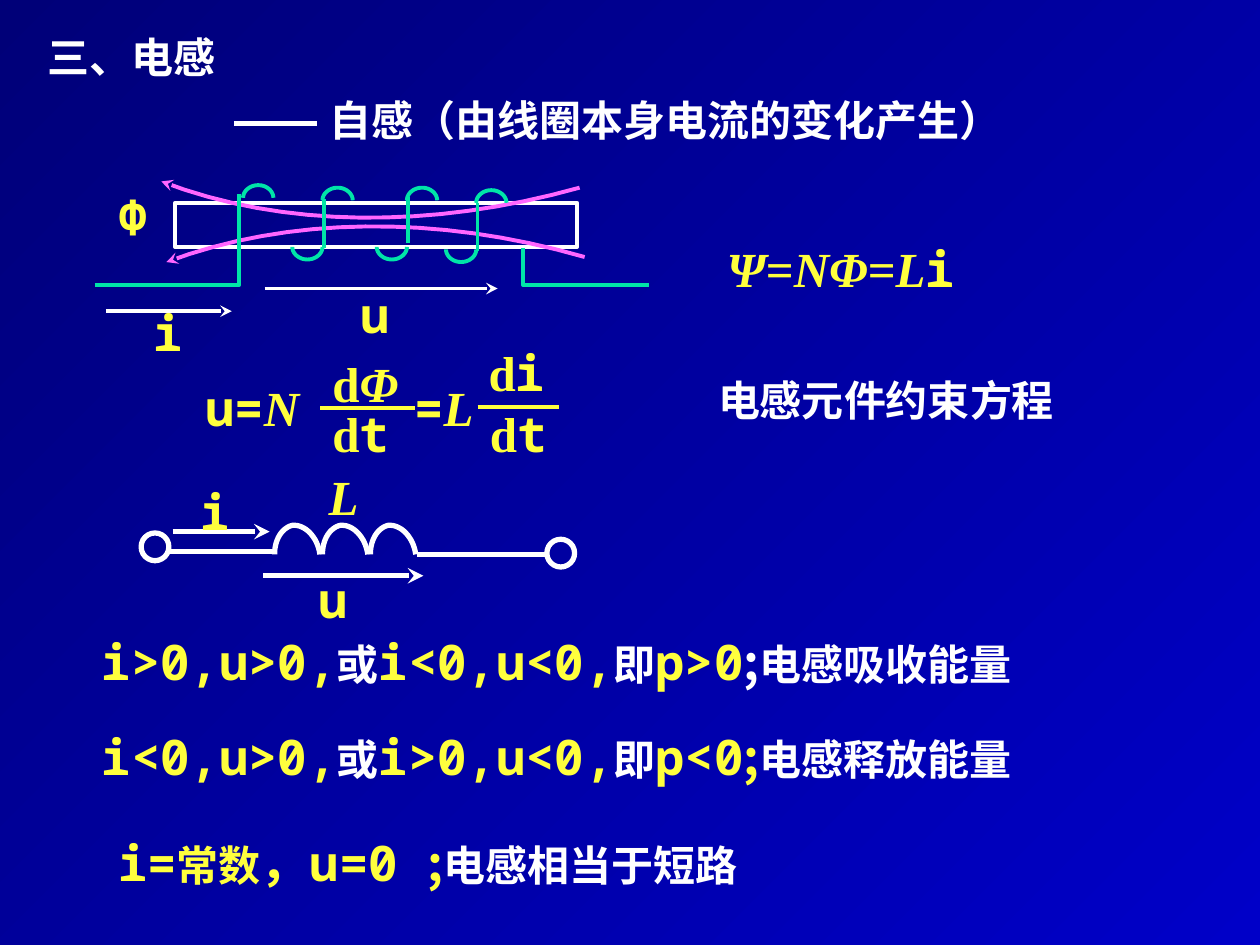
from lxml.etree import SubElement
from pptx import Presentation
from pptx.dml.color import RGBColor
from pptx.enum.shapes import MSO_CONNECTOR, MSO_SHAPE
from pptx.enum.text import MSO_ANCHOR, MSO_AUTO_SIZE, PP_ALIGN
from pptx.oxml.ns import qn
from pptx.util import Inches, Pt

COLORS = {"white": "FFFFFF", "yellow": "FFFF3D", "green": "00E4A8", "pink": "FF66FF",
          "navy": "000078", "blue": "0000C8"}
HEADING = {"font": "Noto Sans CJK SC", "size": 24, "color": "white"}
MONO = {"font": "Noto Sans Mono", "size": 28, "color": "yellow"}
SERIF = {"font": "Times New Roman", "size": 28, "color": "yellow"}
ITALIC = {**SERIF, "italic": True}
YELLOW_HEADING = {**HEADING, "color": "yellow"}
SEMICOLON = {**HEADING, "size": 28}
YELLOW_SEMICOLON = {**SEMICOLON, "color": "yellow"}


def add_run(paragraph, text, font, size, color, italic=False):
    run = paragraph.add_run()
    run.text = text
    run.font.name = font
    run.font.size = Pt(size)
    run.font.bold = True
    run.font.italic = italic
    run.font.color.rgb = RGBColor.from_string(COLORS[color])
    SubElement(run.font._element, qn("a:ea"), typeface=font)


def draw_line(container, points, color, width, arrow=False, curved=False):
    if curved:
        sampled = [points[0]]
        for first in range(0, len(points) - 1, 3):
            corners = points[first:first + 4]
            for step in range(1, 17):
                t = step / 16
                weights = ((1 - t) ** 3, 3 * t * (1 - t) ** 2, 3 * t ** 2 * (1 - t), t ** 3)
                sampled.append([sum(w * c[axis] for w, c in zip(weights, corners)) for axis in (0, 1)])
        points = sampled
    places = [(Inches(x), Inches(y)) for x, y in points]
    if len(places) == 2:
        shape = container.add_connector(MSO_CONNECTOR.STRAIGHT, *places[0], *places[1])
    else:
        builder = container.build_freeform(*places[0])
        builder.add_line_segments(places[1:], close=False)
        shape = builder.convert_to_shape()
        shape.fill.background()
    shape.line.color.rgb = RGBColor.from_string(COLORS[color])
    shape.line.width = Pt(width)
    properties = shape._element.spPr
    if arrow:
        SubElement(properties.find(qn("a:ln")), qn("a:tailEnd"), type="stealth")
    SubElement(properties, qn("a:effectLst"))


presentation = Presentation()
presentation.slide_width = Inches(10)
presentation.slide_height = Inches(7.5)
slide = presentation.slides.add_slide(presentation.slide_layouts[5])

background = slide.background.fill
background.gradient()
background.gradient_angle = 315
for stop, name in zip(background.gradient_stops, ("navy", "blue")):
    stop.color.rgb = RGBColor.from_string(COLORS[name])

title = slide.shapes.title
title.left, title.top, title.width, title.height = map(Inches, (0.28, 0.15, 1.89, 0.55))
title.text_frame.vertical_anchor = MSO_ANCHOR.BOTTOM
title.text_frame.auto_size = MSO_AUTO_SIZE.NONE
title.text_frame.paragraphs[0].alignment = PP_ALIGN.LEFT
add_run(title.text_frame.paragraphs[0], "三、电感", **HEADING)

page = slide.shapes
draw_line(page, [(1.86, 0.98), (2.52, 0.98)], "white", 3)
formula = page.add_group_shape().shapes
symbol = page.add_group_shape().shapes
coil = page.add_group_shape().shapes

for start, end in (((2.54, 3.24), (3.29, 3.24)), ((3.79, 3.23), (4.44, 3.23))):
    draw_line(formula, [start, end], "yellow", 2.25)

for index in range(3):
    x = 2.18 + 0.38 * index
    hump = [(x, 4.4), (x, 4.28), (x + 0.06, 4.19), (x + 0.14, 4.17),
            (x + 0.24, 4.16), (x + 0.34, 4.26), (x + 0.36, 4.4)]
    draw_line(symbol, hump, "white", 3, curved=True)
for start, end, arrow in (
    ((3.31, 4.4), (4.34, 4.4), False),
    ((1.34, 4.38), (2.18, 4.38), False),
    ((2.09, 4.57), (3.36, 4.57), True),
    ((1.37, 4.22), (2.14, 4.22), True),
):
    draw_line(symbol, [start, end], "white", 3, arrow=arrow)

for container, preset, width, box in (
    (symbol, MSO_SHAPE.OVAL, 3, (4.34, 4.28, 0.22, 0.22)),
    (symbol, MSO_SHAPE.OVAL, 3, (1.12, 4.23, 0.22, 0.22)),
    (coil, MSO_SHAPE.RECTANGLE, 2.25, (1.39, 1.61, 3.19, 0.35)),
):
    shape = container.add_shape(preset, *map(Inches, box))
    shape.shadow.inherit = False
    shape.fill.background()
    shape.line.color.rgb = RGBColor.from_string(COLORS["white"])
    shape.line.width = Pt(width)

for flux in (
    [(4.6, 1.49), (3.42, 1.82), (2.24, 1.81), (1.28, 1.44)],
    [(4.64, 2.04), (3.46, 1.7), (2.28, 1.72), (1.32, 2.08)],
):
    draw_line(coil, flux, "pink", 2.25, arrow=True, curved=True)

for wire in (
    [(0.75, 2.26), (1.9, 2.26), (1.9, 1.54)],
    [(2.57, 1.97), (2.57, 1.58)],
    [(3.24, 1.93), (3.24, 1.56)],
    [(3.79, 1.99), (3.79, 1.61)],
    [(4.15, 1.97), (4.15, 2.26), (5.15, 2.26)],
):
    draw_line(coil, wire, "green", 2.25)
for x, y, rise in (
    (1.93, 1.57, -0.1), (2.56, 1.59, -0.1), (3.23, 1.59, -0.1), (3.78, 1.61, -0.1),
    (2.32, 1.96, 0.1), (2.99, 1.96, 0.1), (3.54, 1.98, 0.1),
):
    turn = [(x, y), (x, y + rise / 2), (x + 0.05, y + rise), (x + 0.12, y + rise),
            (x + 0.19, y + rise), (x + 0.24, y + rise / 2), (x + 0.24, y)]
    draw_line(coil, turn, "green", 2.25, curved=True)
for start, end in (((0.84, 2.47), (1.84, 2.47)), ((2.1, 2.29), (3.95, 2.29))):
    draw_line(coil, [start, end], "white", 2.25, arrow=True)

texts = [
    (page, (2.52, 0.7, 5.6, 0.5), [("自感（由线圈本身电流的变化产生）", HEADING)]),
    (page, (5.67, 1.84, 2.11, 0.57), [("Ψ", ITALIC), ("=", SERIF), ("NΦ", ITALIC),
                                      ("=", SERIF), ("L", ITALIC), ("i", MONO)]),
    (formula, (1.53, 2.95, 3.53, 0.57), [("u=", MONO), ("N", ITALIC), ("\t=", MONO), ("L", ITALIC)]),
    (formula, (2.54, 2.76, 1.25, 0.57), [("d", SERIF), ("Φ", ITALIC)]),
    (formula, (2.54, 3.15, 0.97, 0.57), [("d", SERIF), ("t", MONO)]),
    (formula, (3.78, 2.67, 0.97, 0.57), [("d", SERIF), ("i", MONO)]),
    (formula, (3.79, 3.15, 0.97, 0.57), [("d", SERIF), ("t", MONO)]),
    (page, (5.6, 2.92, 3.08, 0.5), [("电感元件约束方程", HEADING)]),
    (page, (0.84, 6.56, 5.75, 0.57), [("i=", MONO), ("常数", YELLOW_HEADING), ("，u=0 ", MONO),
                                      (";", YELLOW_SEMICOLON), ("电感相当于短路", HEADING)]),
    (symbol, (2.51, 3.65, 0.68, 0.57), [("L", ITALIC)]),
    (symbol, (1.49, 3.77, 0.76, 0.57), [("i", MONO)]),
    (symbol, (2.43, 4.47, 0.76, 0.57), [("u", MONO)]),
    (coil, (1.12, 2.35, 0.73, 0.57), [("i", MONO)]),
    (coil, (2.76, 2.21, 0.73, 0.57), [("u", MONO)]),
    (coil, (0.84, 1.43, 0.62, 0.57), [("Φ", MONO)]),
]
for top, width, first, second, power, semicolon, effect in (
    (4.96, 8.54, "i>0,u>0,", "i<0,u<0,", "p>0", SEMICOLON, "电感吸收能量"),
    (5.72, 7.75, "i<0,u>0,", "i>0,u<0,", "p<0", YELLOW_SEMICOLON, "电感释放能量"),
):
    texts.append((page, (0.71, top, width, 0.57), [
        (first, MONO), ("或", HEADING), (second, MONO), ("即", HEADING),
        (power, MONO), (";", semicolon), (effect, HEADING)]))

for container, box, runs in texts:
    text_frame = container.add_textbox(*map(Inches, box)).text_frame
    text_frame.word_wrap = True
    text_frame.auto_size = MSO_AUTO_SIZE.SHAPE_TO_FIT_TEXT
    paragraph = text_frame.paragraphs[0]
    if any("\t" in text for text, style in runs):
        tabs = SubElement(paragraph._p.get_or_add_pPr(), qn("a:tabLst"))
        SubElement(tabs, qn("a:tab"), pos=str(Inches(1.66)), algn="l")
    for text, style in runs:
        add_run(paragraph, text, **style)

presentation.save("out.pptx")
